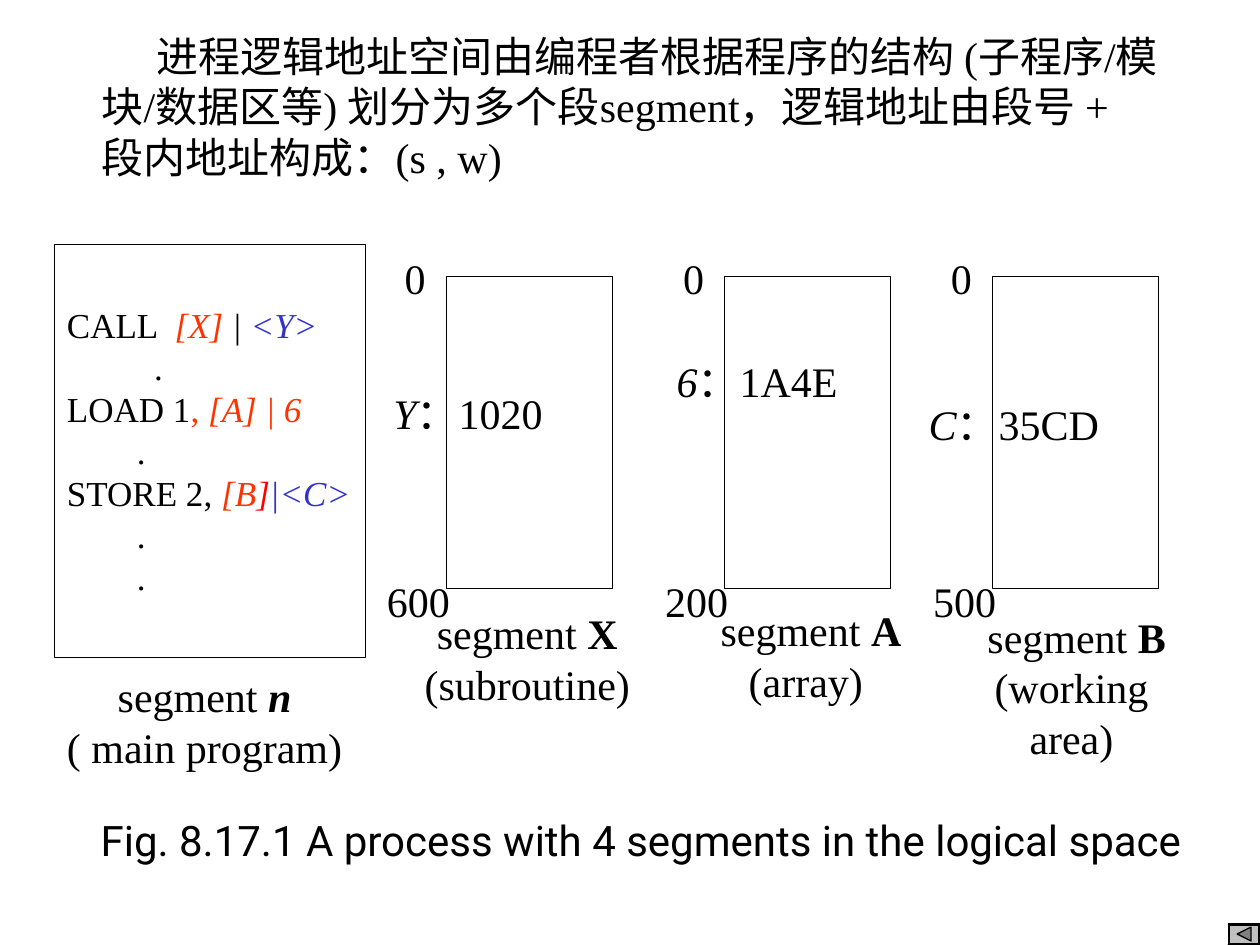
from dataclasses import dataclass, field
from typing import NamedTuple

from pptx import Presentation
from pptx.dml.color import RGBColor
from pptx.enum.shapes import MSO_SHAPE as Shape
from pptx.enum.text import MSO_AUTO_SIZE as AutoSize, PP_ALIGN as Align
from pptx.util import Cm, Pt

BLACK = RGBColor(0x00, 0x00, 0x00)
WHITE = RGBColor(0xFF, 0xFF, 0xFF)
ORANGE = RGBColor(0xFF, 0x33, 0x00)
RED = RGBColor(0xFF, 0x00, 0x00)
BLUE = RGBColor(0x33, 0x33, 0xCC)
SILVER = RGBColor(0xC0, 0xC0, 0xC0)
GRAY = RGBColor(0x80, 0x80, 0x80)
SERIF = "Times New Roman"
SANS = "Roboto"
LINE_WIDTH = Pt(0.75)

SEGMENT_TOP = 5.57
SEGMENT_WIDTH = 3.35
SEGMENT_HEIGHT = 6.3
LINE_HEIGHT = 1.27
WORD_WIDTH = 4.6


class Area(NamedTuple):
    left: float
    top: float
    width: float
    height: float

    def lengths(self) -> list[Cm]:
        return [Cm(value) for value in self]


@dataclass
class Span:
    text: str
    color: RGBColor = BLACK
    formats: dict = field(default_factory=dict)


@dataclass
class Line:
    spans: list[Span]
    indent: float = 0


@dataclass
class Segment:
    left: float
    end: str
    offset: str
    word: str
    word_area: Area
    label: list[Line]
    label_area: Area


ITALIC = {"italic": True}
BOLD = {"bold": True}


def plain(text: str, indent: float = 0) -> Line:
    return Line([Span(text)], indent)


TITLE = plain(
    "进程逻辑地址空间由编程者根据程序的结构 (子程序/模块/数据区等) "
    "划分为多个段segment，逻辑地址由段号 + 段内地址构成：(s , w)",
    1.11,
)
CAPTION = plain("Fig. 8.17.1 A process with 4 segments in the logical space")
DOT = plain(".", 1.41)
PROGRAM = [
    Line([Span("CALL  "), Span("[X]", ORANGE, ITALIC),
          Span(" | ", BLACK, ITALIC), Span("<Y>", BLUE, ITALIC)]),
    plain(".", 1.76),
    Line([Span("LOAD 1"), Span(", ", ORANGE), Span("[A] | 6", ORANGE, ITALIC)]),
    DOT,
    Line([Span("STORE 2, "), Span("[B", ORANGE, ITALIC),
          Span("]", RED, ITALIC), Span("|<C>", BLUE, ITALIC)]),
    DOT,
    DOT,
]
MAIN_LABEL = [
    Line([Span("segment "), Span("n", BLACK, BOLD | ITALIC)]),
    plain("( main program)"),
]


def segment_label(lead: str, name: str, role: str) -> list[Line]:
    return [Line([Span(lead), Span(name, BLACK, BOLD)]), plain(role)]


SEGMENTS = [
    Segment(9, "600", "Y", "1020", Area(7.68, 7.68, WORD_WIDTH, LINE_HEIGHT),
            segment_label("segment ", "X", "(subroutine)"),
            Area(8.18, 12.13, 4.9, 2.29)),
    Segment(14.61, "200", "6", "1A4E", Area(13.39, 7.04, WORD_WIDTH, LINE_HEIGHT),
            segment_label(" segment ", "A", "(array)"),
            Area(14.02, 12.07, 4.45, 2.29)),
    Segment(20.01, "500", "C", "35CD", Area(18.47, 7.9, WORD_WIDTH, LINE_HEIGHT),
            segment_label(" segment ", "B", "(working area)"),
            Area(19, 12.2, 5.2, 3.3)),
]


def add_text(page, area: Area, lines: list[Line], size: int = 24,
             font: str = SERIF, align=Align.LEFT, wrap: bool = False) -> None:
    box = page.shapes.add_textbox(*area.lengths())
    frame = box.text_frame
    frame.word_wrap = wrap
    frame.auto_size = AutoSize.SHAPE_TO_FIT_TEXT
    for index, line in enumerate(lines):
        para = frame.add_paragraph() if index else frame.paragraphs[0]
        para.alignment = align
        if line.indent:
            para._p.get_or_add_pPr().set("indent", str(int(Cm(line.indent))))
        for span in line.spans:
            run = para.add_run()
            run.text = span.text
            formats = {"name": font, "size": Pt(size)} | span.formats
            for name, value in formats.items():
                setattr(run.font, name, value)
            run.font.color.rgb = span.color


def style_shape(shape, fill: RGBColor) -> None:
    shape.shadow.inherit = False
    shape.fill.solid()
    shape.fill.fore_color.rgb = fill
    shape.line.color.rgb = BLACK
    shape.line.width = LINE_WIDTH


def add_block(page, area: Area, fill: RGBColor = WHITE, kind=Shape.RECTANGLE):
    block = page.shapes.add_shape(kind, *area.lengths())
    style_shape(block, fill)
    return block


def add_segment(page, segment: Segment) -> None:
    left = segment.left
    add_block(page, Area(left, SEGMENT_TOP, SEGMENT_WIDTH, SEGMENT_HEIGHT))
    add_text(page, Area(left - 1.09, 4.97, 0.91, LINE_HEIGHT), [plain("0")])
    add_text(page, Area(left - 1.45, 11.47, 1.78, LINE_HEIGHT), [plain(segment.end)])
    add_text(page, segment.label_area, segment.label, align=Align.CENTER, wrap=True)
    word = Line([Span(segment.offset, BLACK, ITALIC), Span(f"：{segment.word}")])
    add_text(page, segment.word_area, [word], wrap=True)


def add_back_button(page) -> None:
    button = add_block(page, Area(24.76, 18.62, 0.64, 0.43), SILVER, Shape.BEVEL)
    button.adjustments[0] = 0.06
    tip, *back = [(Cm(x), Cm(y)) for x, y in
                  [(24.94, 18.83), (25.22, 18.69), (25.22, 18.97)]]
    builder = page.shapes.build_freeform(*tip)
    builder.add_line_segments(back, close=True)
    style_shape(builder.convert_to_shape(), GRAY)


def main() -> None:
    deck = Presentation()
    deck.slide_width, deck.slide_height = Cm(25.4), Cm(19.05)
    page = deck.slides.add_slide(deck.slide_layouts[6])
    add_text(page, Area(1.8, 0.49, 21.79, 3.48), [TITLE], wrap=True)
    add_text(page, Area(1.78, 16.29, 23.2, LINE_HEIGHT), [CAPTION], font=SANS, wrap=True)
    add_block(page, Area(1.1, 4.93, 6.27, 8.33))
    add_text(page, Area(1.1, 5.99, 6.22, 6.2), PROGRAM, size=20)
    for segment in SEGMENTS:
        add_segment(page, segment)
    add_text(page, Area(1.1, 13.4, 6.05, 2.29), MAIN_LABEL, align=Align.CENTER)
    add_back_button(page)
    deck.save("out.pptx")


if __name__ == "__main__":
    main()
